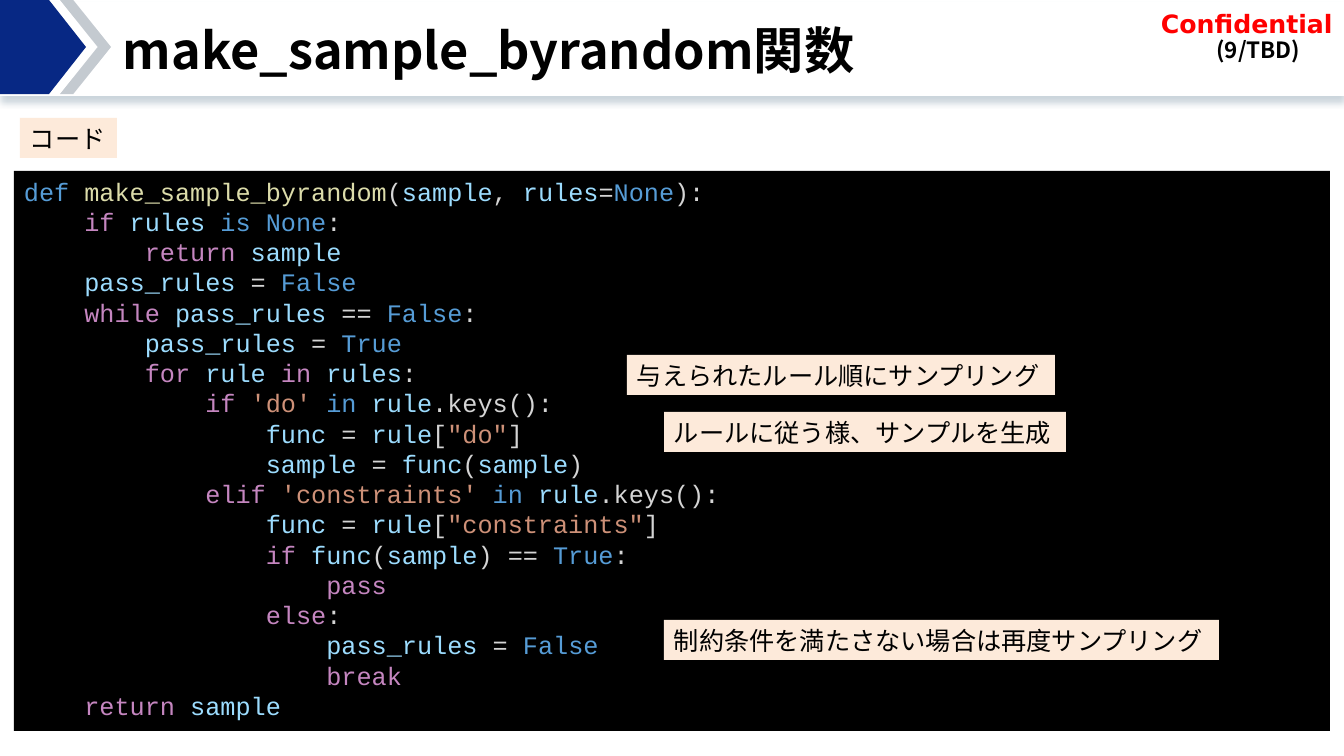
from lxml.etree import SubElement
from pptx import Presentation
from pptx.dml.color import RGBColor
from pptx.enum.shapes import MSO_SHAPE
from pptx.enum.text import MSO_ANCHOR, PP_ALIGN
from pptx.oxml.ns import qn
from pptx.util import Emu, Pt

PIXEL = 9071  # EMU per pixel at 100.8 pixels to the inch

WHITE = RGBColor(0xFF, 0xFF, 0xFF)
BLACK = RGBColor(0x00, 0x00, 0x00)
RED = RGBColor(0xFF, 0x00, 0x00)
NAVY = RGBColor(0x07, 0x28, 0x84)
SILVER = RGBColor(0xC4, 0xCA, 0xD0)
PEACH = RGBColor(0xFD, 0xEA, 0xDA)

# Syntax colours
CONST = RGBColor(0x56, 0x9C, 0xD6)
NAME = RGBColor(0xDC, 0xDC, 0xAA)
PLAIN = RGBColor(0xD4, 0xD4, 0xD4)
VAR = RGBColor(0x9C, 0xDC, 0xFE)
FLOW = RGBColor(0xC5, 0x86, 0xC0)
QUOTE = RGBColor(0xCE, 0x91, 0x78)

JAPANESE = "Noto Sans CJK JP"
CODE_SIZE = 18
INDENT = Pt(4 * 0.6 * CODE_SIZE)  # four monospaced characters


def add_block(kind, left, top, width, height, fill):
    """Add a flat preset shape without outline, placed in pixels."""
    block = page.shapes.add_shape(
        kind, *[Emu(n * PIXEL) for n in (left, top, width, height)])
    block.shadow.inherit = False
    block.line.fill.background()
    if fill is None:
        block.fill.background()
    else:
        block.fill.solid()
        block.fill.fore_color.rgb = fill
    return block


def write(box, text, size, font=JAPANESE, colour=BLACK, bold=False,
          align=PP_ALIGN.LEFT, anchor=MSO_ANCHOR.TOP):
    """Put one unwrapped paragraph into a box and return the paragraph."""
    box.text_frame.word_wrap = False
    box.text_frame.vertical_anchor = anchor
    para = box.text_frame.paragraphs[0]
    para.text = text
    para.alignment = align
    para.font.name = font
    para.font.size = Pt(size)
    para.font.bold = bold
    para.font.color.rgb = colour
    SubElement(para.font._element, qn("a:ea"), typeface=font)
    return para


deck = Presentation()
deck.slide_width = Emu(1344 * PIXEL)
deck.slide_height = Emu(756 * PIXEL)
page = deck.slides.add_slide(deck.slide_layouts[6])

# Header band with a soft shadow below it
band = add_block(MSO_SHAPE.RECTANGLE, 0, 2, 1344, 94, WHITE)
effects = band._element.spPr.find(qn("a:effectLst"))
shadow = SubElement(effects, qn("a:outerShdw"), blurRad=str(Pt(5)),
                    dist=str(Pt(4)), dir="5400000", algn="t", rotWithShape="0")
shade = SubElement(shadow, qn("a:srgbClr"), val="8AA0B0")
SubElement(shade, qn("a:alpha"), val="43000")

pentagon = add_block(MSO_SHAPE.PENTAGON, 0, 0, 86, 94, NAVY)
pentagon.adjustments[0] = 0.43
chevron = add_block(MSO_SHAPE.CHEVRON, 60, 0, 51, 94, SILVER)
chevron.adjustments[0] = 0.74

page_number = add_block(MSO_SHAPE.RECTANGLE, 1187, 31, 143, 39, None)
write(page_number, "(9/TBD)", 16, bold=True, align=PP_ALIGN.CENTER)
confidential = add_block(MSO_SHAPE.RECTANGLE, 1151, 0, 193, 40, None)
write(confidential, "Confidential", 18, "DejaVu Sans", RED, True).line_spacing = 1.1
title = add_block(MSO_SHAPE.RECTANGLE, 113, 24, 1217, 51, None)
write(title, "make_sample_byrandom関数", 36, bold=True, anchor=MSO_ANCHOR.MIDDLE)

# Code listing: indent level, then coloured spans
CODE = [
    (0, [("def ", CONST), ("make_sample_byrandom", NAME), ("(", PLAIN),
         ("sample", VAR), (", ", PLAIN), ("rules", VAR), ("=", PLAIN),
         ("None", CONST), ("):", PLAIN)]),
    (1, [("if ", FLOW), ("rules ", VAR), ("is None", CONST), (":", PLAIN)]),
    (2, [("return ", FLOW), ("sample", VAR)]),
    (1, [("pass_rules", VAR), (" = ", PLAIN), ("False", CONST)]),
    (1, [("while ", FLOW), ("pass_rules", VAR), (" == ", PLAIN),
         ("False", CONST), (":", PLAIN)]),
    (2, [("pass_rules", VAR), (" = ", PLAIN), ("True", CONST)]),
    (2, [("for ", FLOW), ("rule ", VAR), ("in ", FLOW), ("rules", VAR),
         (":", PLAIN)]),
    (3, [("if ", FLOW), ("'do' ", QUOTE), ("in ", CONST), ("rule", VAR),
         (".keys():", PLAIN)]),
    (4, [("func", VAR), (" = ", PLAIN), ("rule", VAR), ("[", PLAIN),
         ('"do"', QUOTE), ("]", PLAIN)]),
    (4, [("sample", VAR), (" = ", PLAIN), ("func", VAR), ("(", PLAIN),
         ("sample", VAR), (")", PLAIN)]),
    (3, [("elif ", FLOW), ("'constraints' ", QUOTE), ("in ", CONST),
         ("rule", VAR), (".keys():", PLAIN)]),
    (4, [("func", VAR), (" = ", PLAIN), ("rule", VAR), ("[", PLAIN),
         ('"constraints"', QUOTE), ("]", PLAIN)]),
    (4, [("if ", FLOW), ("func", VAR), ("(", PLAIN), ("sample", VAR),
         (") == ", PLAIN), ("True", CONST), (":", PLAIN)]),
    (5, [("pass", FLOW)]),
    (4, [("else", FLOW), (":", PLAIN)]),
    (5, [("pass_rules", VAR), (" = ", PLAIN), ("False", CONST)]),
    (5, [("break", FLOW)]),
    (1, [("return ", FLOW), ("sample", VAR)]),
]
listing = add_block(MSO_SHAPE.RECTANGLE, 14, 171, 1316, 560, BLACK)
frame = listing.text_frame
frame.word_wrap = True
frame.vertical_anchor = MSO_ANCHOR.TOP
for row, (level, spans) in enumerate(CODE):
    para = frame.add_paragraph() if row else frame.paragraphs[0]
    para.alignment = PP_ALIGN.LEFT
    para.line_spacing = Pt(1.2 * CODE_SIZE)
    para.font.name = "Courier New"
    para.font.size = Pt(CODE_SIZE)
    para._p.get_or_add_pPr().set("marL", str(level * INDENT))
    for text, colour in spans:
        span = para.add_run()
        span.text = text
        span.font.color.rgb = colour

# Peach labels: left, top, width, text
LABELS = [
    (20, 118, 97, "コード"),
    (664, 620, 555, "制約条件を満たさない場合は再度サンプリング"),
    (627, 355, 428, "与えられたルール順にサンプリング"),
    (664, 412, 402, "ルールに従う様、サンプルを生成"),
]
for left, top, width, text in LABELS:
    label = add_block(MSO_SHAPE.RECTANGLE, left, top, width, 40, PEACH)
    write(label, text, 18)

deck.save("out.pptx")
